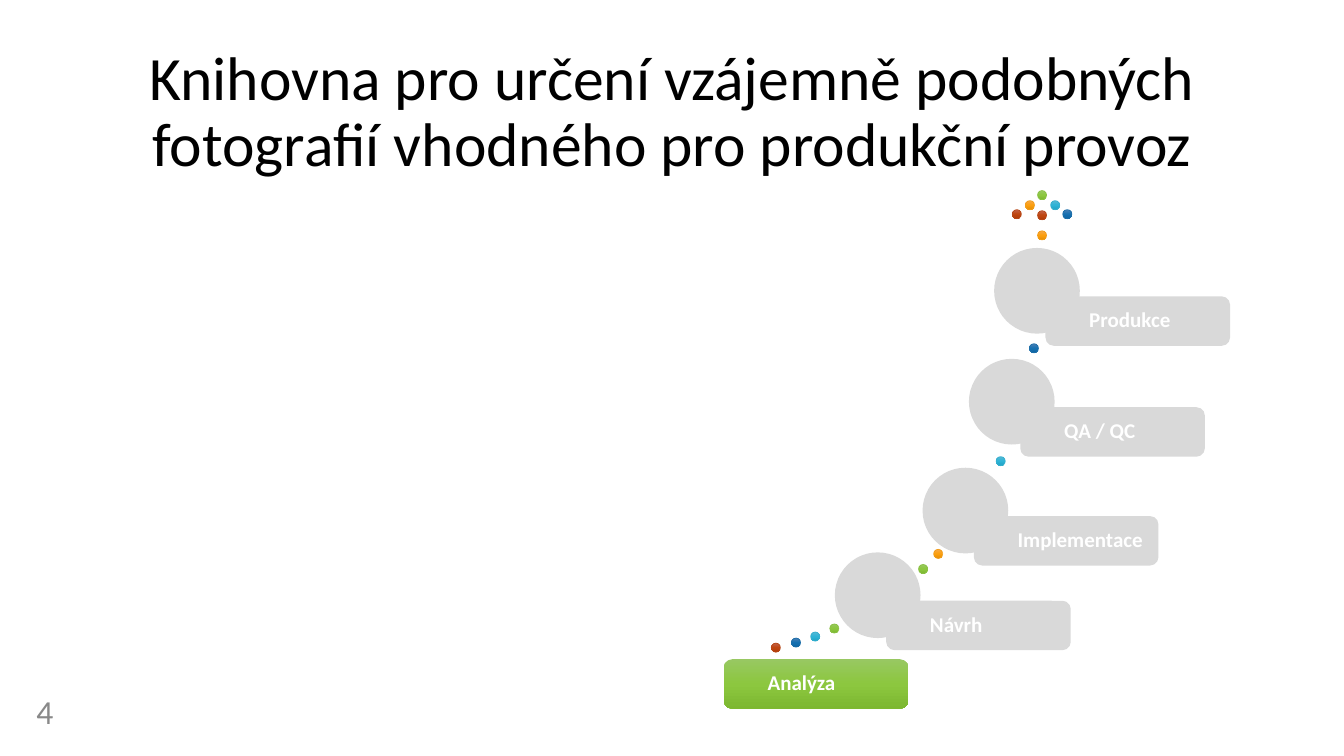
from copy import deepcopy
from typing import NamedTuple

from pptx import Presentation
from pptx.dml.color import RGBColor
from pptx.enum.shapes import MSO_SHAPE
from pptx.enum.text import MSO_ANCHOR, MSO_AUTO_SIZE, PP_ALIGN
from pptx.oxml.ns import qn
from pptx.util import Inches, Pt

OVAL = MSO_SHAPE.OVAL
ROUNDED = MSO_SHAPE.ROUNDED_RECTANGLE
ALTERNATE = MSO_SHAPE.FLOWCHART_ALTERNATE_PROCESS
MIDDLE = MSO_ANCHOR.MIDDLE
LEFT, CENTER = PP_ALIGN.LEFT, PP_ALIGN.CENTER

FONT = "Calibri"
COLORS = {"black": "000000", "white": "FFFFFF", "inactive": "D9D9D9", "number": "898989",
          "green": "8BC145", "cyan": "36AFCE", "blue": "1D6FA9", "red": "B74919",
          "orange": "F19D19"}
GRADIENTS = {"green": ("98C862", "8CC73F", "7DB831"), "cyan": ("59B8D4", "2EB3D6", "21A4C6"),
             "blue": ("4E80B5", "1670B0", "0D65A3"), "red": ("C2634D", "BF4611", "B13B08"),
             "orange": ("F5A84E", "FC9F0E", "E58F07")}

DOT_SIZE = 0.09
BAR_WIDTH, BAR_HEIGHT = 1.83, 0.49
CIRCLE_SIZE = 0.85
CIRCLE_DX, CIRCLE_DY = -0.51, -0.48


class Dot(NamedTuple):
    x: float
    y: float
    color: str


class Step(NamedTuple):
    label: str
    x: float
    y: float
    active: bool = False


DOTS = [
    Dot(8.23, 6.19, "green"), Dot(8.04, 6.27, "cyan"), Dot(7.85, 6.33, "blue"),
    Dot(7.65, 6.38, "red"), Dot(9.26, 5.45, "orange"), Dot(9.11, 5.6, "green"),
    Dot(9.88, 4.53, "cyan"), Dot(10.21, 3.41, "blue"), Dot(10.04, 2.08, "red"),
    Dot(10.17, 1.99, "orange"), Dot(10.29, 1.89, "green"), Dot(10.42, 1.99, "cyan"),
    Dot(10.54, 2.08, "blue"), Dot(10.29, 2.09, "red"), Dot(10.29, 2.29, "orange"),
]
STEPS = [
    Step("Analýza", 7.18, 6.54, active=True),
    Step("Návrh", 8.79, 5.96),
    Step("Implementace", 9.66, 5.12),
    Step("QA / QC", 10.12, 4.04),
    Step("Produkce", 10.37, 2.94),
]


def rgb(name: str) -> RGBColor:
    return RGBColor.from_string(COLORS[name])


def add_plain(slide, kind, x: float, y: float, w: float, h: float, color: str):
    """Add a flat shape without line or shadow."""
    s = slide.shapes.add_shape(kind, Inches(x), Inches(y), Inches(w), Inches(h))
    s.shadow.inherit = False
    s.line.fill.background()
    s.fill.solid()
    s.fill.fore_color.rgb = rgb(color)
    return s


def fill_gradient(s, color: str) -> None:
    """Fill from top to bottom with the three stops of the named colour."""
    s.fill.gradient()
    s.fill.gradient_angle = 270
    first = s.element.spPr.find(qn("a:gradFill")).find(qn("a:gsLst"))[0]
    first.addnext(deepcopy(first))
    for stop, position, value in zip(s.fill.gradient_stops, (0, 0.5, 1), GRADIENTS[color]):
        stop.position = position
        stop.color.rgb = RGBColor.from_string(value)


def write(s, text: str, size: float, color: str, align, bold: bool = False):
    tf = s.text_frame
    tf.text = text
    tf.word_wrap = True
    tf.auto_size = MSO_AUTO_SIZE.NONE
    tf.vertical_anchor = MIDDLE
    p = tf.paragraphs[0]
    p.alignment = align
    p.font.name = FONT
    p.font.size = Pt(size)
    p.font.bold = bold
    p.font.color.rgb = rgb(color)
    return p


def add_dot(slide, dot: Dot) -> None:
    s = add_plain(slide, OVAL, dot.x, dot.y, DOT_SIZE, DOT_SIZE, dot.color)
    fill_gradient(s, dot.color)
    s.line.color.rgb = rgb(dot.color)
    s.line.width = Pt(0.5)


def add_step(slide, step: Step) -> None:
    """Add a labelled bar, with a circle at its corner unless it is the active one."""
    bar = add_plain(slide, ROUNDED, step.x, step.y, BAR_WIDTH, BAR_HEIGHT, "inactive")
    p = write(bar, step.label, 15, "white", LEFT, bold=True)
    p.line_spacing = 0.9
    tf = bar.text_frame
    tf.margin_left = Inches(0.41)
    tf.margin_right = tf.margin_top = tf.margin_bottom = Inches(0.08)
    if step.active:
        fill_gradient(bar, "green")
    else:
        add_plain(slide, OVAL, step.x + CIRCLE_DX, step.y + CIRCLE_DY,
                  CIRCLE_SIZE, CIRCLE_SIZE, "inactive")


def main() -> None:
    prs = Presentation()
    prs.slide_width, prs.slide_height = Inches(13.33), Inches(7.5)
    slide = prs.slides.add_slide(prs.slide_layouts[5])

    title = slide.shapes.title
    title.left, title.top = Inches(0.92), Inches(0.4)
    title.width, title.height = Inches(11.5), Inches(1.45)
    p = write(title, "Knihovna pro určení vzájemně podobných fotograﬁí vhodného "
              "pro produkční provoz", 44, "black", CENTER)
    p.line_spacing = 0.9

    for dot in DOTS:
        add_dot(slide, dot)
    for step in STEPS:
        add_step(slide, step)

    number = add_plain(slide, ALTERNATE, 0, 6.6, 0.89, 0.9, "white")
    write(number, "4", 24, "number", CENTER)
    prs.save("out.pptx")


if __name__ == "__main__":
    main()
